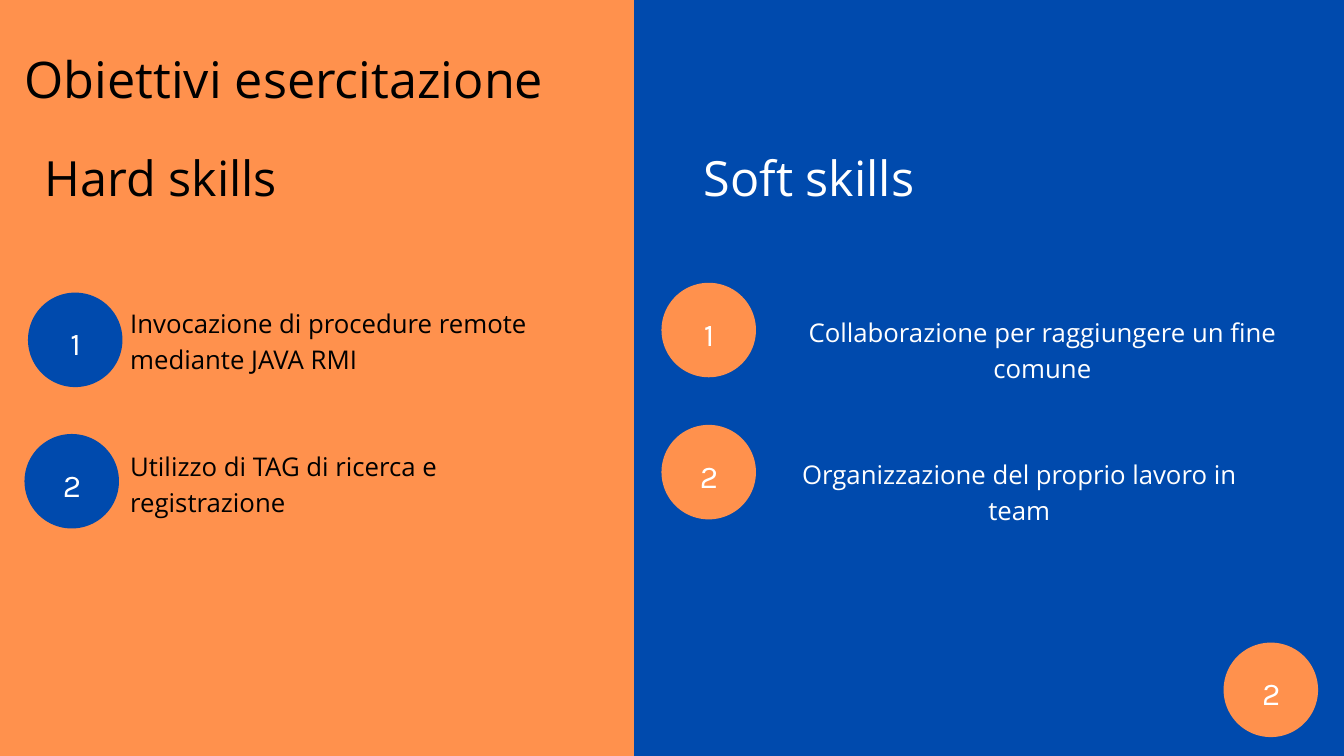
from pptx import Presentation
from pptx.dml.color import RGBColor
from pptx.enum.shapes import MSO_SHAPE as Shape
from pptx.enum.text import MSO_ANCHOR as Anchor, MSO_AUTO_SIZE as AutoSize, PP_ALIGN as Align
from pptx.util import Pt

PX = 9525
COLORS = {"orange": "FF914D", "blue": "004AAD", "black": "000000", "white": "FFFFFF"}


def add_filled(shapes, kind, left, top, width, height, color):
    shape = shapes.add_shape(kind, left * PX, top * PX, width * PX, height * PX)
    shape.shadow.inherit = False
    shape.fill.solid()
    shape.fill.fore_color.rgb = RGBColor.from_string(COLORS[color])
    shape.line.fill.background()


def write(box, place, text, size, spacing, color, align=Align.LEFT, font="Open Sans"):
    box.left, box.top, box.width, box.height = [length * PX for length in place]
    frame = box.text_frame
    frame.margin_left = frame.margin_top = frame.margin_right = frame.margin_bottom = 0
    frame.word_wrap = True
    frame.auto_size = AutoSize.NONE
    frame.vertical_anchor = Anchor.TOP
    para = frame.paragraphs[0]
    para.alignment = align
    para.line_spacing = Pt(spacing)
    span = para.add_run()
    span.text = text
    span.font.name = font
    span.font.size = Pt(size)
    span.font.color.rgb = RGBColor.from_string(COLORS[color])


deck = Presentation()
deck.slide_width = 1920 * PX
deck.slide_height = 1080 * PX
page = deck.slides.add_slide(deck.slide_layouts[5])
page.background.fill.solid()
page.background.fill.fore_color.rgb = RGBColor.from_string(COLORS["orange"])

add_filled(page.shapes, Shape.RECTANGLE, 906, 0, 1014, 1080, "blue")

write(page.shapes.title, (35, 54, 848, 97), "Obiettivi esercitazione", 54, 75.6, "black")

headings = [
    ("Hard skills", (64, 198, 332, 92), "black"),
    ("Soft skills", (960, 198, 392, 92), "white"),
]
for text, place, color in headings:
    box = page.shapes.add_textbox(0, 0, 0, 0)
    write(box, place, text, 52, 72.8, color, Align.CENTER)

goals = [
    ("Invocazione di procedure remote mediante JAVA RMI", (186, 433, 672, 100), "black", Align.LEFT),
    ("Utilizzo di TAG di ricerca e registrazione", (186, 636, 593, 102), "black", Align.LEFT),
    ("Collaborazione per raggiungere un fine comune", (1095, 445, 788, 98), "white", Align.CENTER),
    ("Organizzazione del proprio lavoro in team", (1110, 648, 692, 98), "white", Align.CENTER),
]
for text, place, color, align in goals:
    box = page.shapes.add_textbox(0, 0, 0, 0)
    write(box, place, text, 27.6, 38.6, color, align)

badges = [
    ("1", 40, 418, "blue"),
    ("2", 35, 620, "blue"),
    ("1", 945, 404, "orange"),
    ("2", 945, 607, "orange"),
    ("2", 1748, 918, "orange"),
]
for number, left, top, color in badges:
    badge = page.shapes.add_group_shape()
    add_filled(badge.shapes, Shape.OVAL, left, top, 135, 135, color)
    box = badge.shapes.add_textbox(left * PX, top * PX, 0, 0)
    write(box, (left + 55, top + 36, 26, 60), number, 34, 47.6, "white", Align.CENTER, "Karla")

deck.save("out.pptx")
